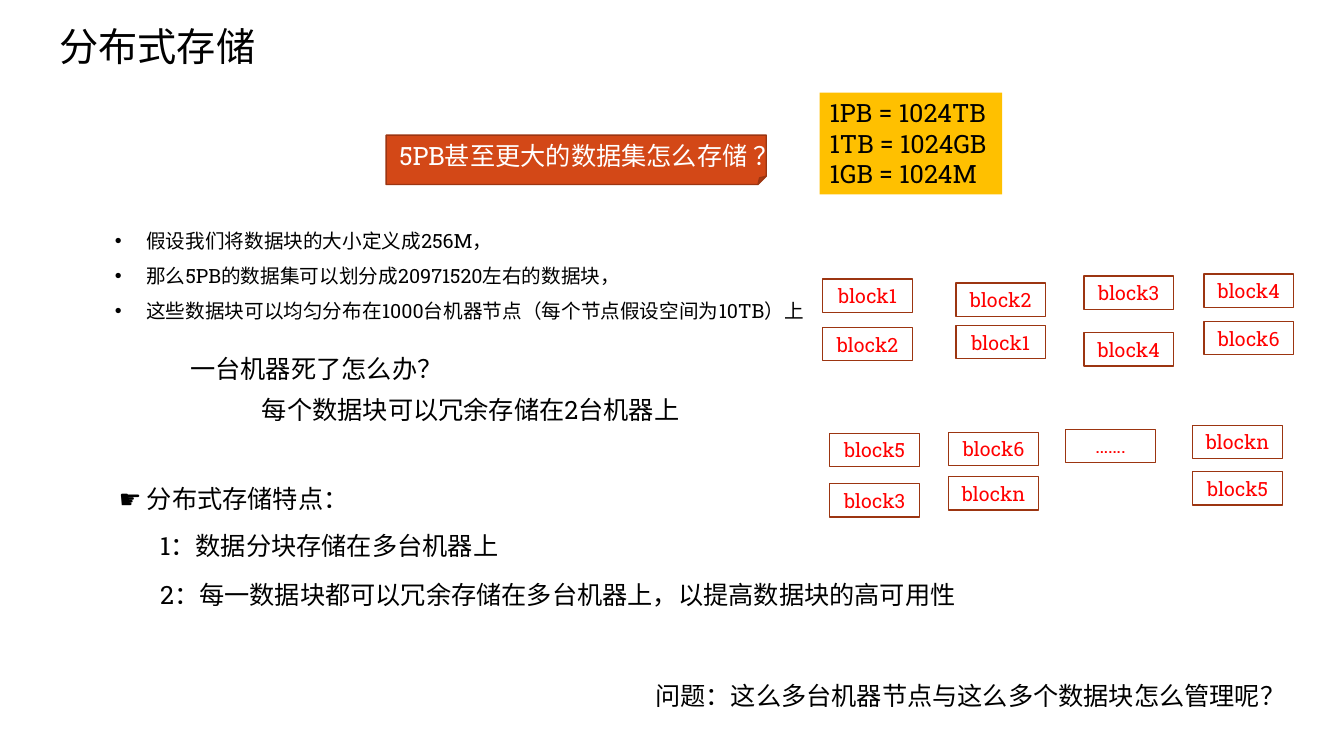
from pptx import Presentation
from pptx.dml.color import RGBColor
from pptx.enum.shapes import MSO_SHAPE
from pptx.enum.text import MSO_ANCHOR, MSO_AUTO_SIZE, PP_ALIGN
from pptx.util import Inches, Pt

RECTANGLE, FOLDED = MSO_SHAPE.RECTANGLE, MSO_SHAPE.FOLDED_CORNER
TOP, MIDDLE = MSO_ANCHOR.TOP, MSO_ANCHOR.MIDDLE
LEFT, CENTER = PP_ALIGN.LEFT, PP_ALIGN.CENTER
NO_AUTOFIT = MSO_AUTO_SIZE.NONE

FONT = "Roboto Slab"
COLORS = {
    "text": "000000",
    "white": "FFFFFF",
    "banner": "D34817",
    "outline": "9C3511",
    "units": "FFC000",
    "block": "FF0000",
}

# Every box is (left, top, width, height) in cells of a square grid.
CELL = Inches(0.1)
LINE_HEIGHT = 4
BLOCK_WIDTH, BLOCK_HEIGHT = 8.9, 3.3

# Each node: column, row of its first block, step to the next block, names.
UPPER_NODES = [
    (0, 0.5, 4.8, ["block1", "block2"]),
    (13.2, 0.9, 4.2, ["block2", "block1"]),
    (25.9, 0.2, 5.6, ["block3", "block4"]),
    (37.8, 0, 4.7, ["block4", "block6"]),
]
LOWER_NODES = [
    (0, 0.8, 5, ["block5", "block3"]),
    (11.8, 0.7, 4.4, ["block6", "blockn"]),
    (23.4, 0.4, 0, ["……."]),
    (36, 0, 4.6, ["blockn", "block5"]),
]


def on_grid(box):
    return [round(value * CELL) for value in box]


def color(name):
    return RGBColor.from_string(COLORS[name])


def write_text(shape, lines, size=18, ink="text", align=LEFT, anchor=TOP,
               spacing=1.0):
    """Fill a shape with one paragraph per line and return the paragraphs."""
    frame = shape.text_frame
    frame.word_wrap = True
    frame.auto_size = NO_AUTOFIT
    frame.vertical_anchor = anchor
    frame.text = "\n".join(lines)
    for para in frame.paragraphs:
        para.alignment = align
        para.line_spacing = spacing
        para.space_before = para.space_after = Pt(0)
        for span in para.runs:
            span.font.name = FONT
            span.font.size = Pt(size)
            span.font.color.rgb = color(ink)
    return frame.paragraphs


def add_label(slide, box, text):
    write_text(slide.shapes.add_textbox(*on_grid(box)), [text])


def add_panel(slide, box, lines, kind=RECTANGLE, fill=None, outline=None,
              **text_format):
    panel = slide.shapes.add_shape(kind, *on_grid(box))
    panel.shadow.inherit = False
    if fill:
        panel.fill.solid()
        panel.fill.fore_color.rgb = color(fill)
    else:
        panel.fill.background()
    if outline:
        panel.line.color.rgb = color(outline)
        panel.line.width = Pt(1)
    else:
        panel.line.fill.background()
    write_text(panel, lines, **text_format)


def place(shape, box):
    shape.left, shape.top, shape.width, shape.height = on_grid(box)


def add_title(slide, box):
    title = slide.shapes.title
    place(title, box)
    write_text(title, ["分布式存储"], size=28)


def add_assumptions(slide, box):
    body = slide.placeholders[1]
    place(body, box)
    paragraphs = write_text(body, [
        "假设我们将数据块的大小定义成256M，",
        "那么5PB的数据集可以划分成20971520左右的数据块，",
        "这些数据块可以均匀分布在1000台机器节点（每个节点假设空间为10TB）上",
    ], size=14, spacing=1.5)
    indent = Inches(0.31)
    for para in paragraphs:
        properties = para._p.get_or_add_pPr()
        properties.set("marL", str(indent))
        properties.set("indent", str(-indent))


def add_opening(slide, box):
    """Place the opening question and, to its right, the table of units."""
    left, top, width, height = box
    add_panel(slide, (left, top + 4.2, 37.7, 4.9),
              ["5PB甚至更大的数据集怎么存储 ？"], kind=FOLDED, fill="banner",
              outline="outline", ink="white", align=CENTER, anchor=MIDDLE)
    units_width = 18.1
    add_panel(slide, (left + width - units_width, top, units_width, height),
              ["1PB = 1024TB", "1TB = 1024GB", "1GB = 1024M"], fill="units")


def add_failure_question(slide, box):
    left, top, width, _ = box
    indent = 7.1
    add_label(slide, (left, top, 27.3, LINE_HEIGHT), "一台机器死了怎么办？")
    add_label(slide, (left + indent, top + LINE_HEIGHT, width - indent, LINE_HEIGHT),
              "每个数据块可以冗余存储在2台机器上")


def add_features(slide, box):
    left, top, width, _ = box
    indent, first_row, row_step = 4.1, 4.6, 4.9
    add_label(slide, (left, top, 25.4, LINE_HEIGHT), "☛ 分布式存储特点：")
    features = [
        "1：数据分块存储在多台机器上",
        "2：每一数据块都可以冗余存储在多台机器上，以提高数据块的高可用性",
    ]
    for row, feature in enumerate(features):
        add_label(slide, (left + indent, top + first_row + row * row_step,
                          width - indent, LINE_HEIGHT), feature)


def add_nodes(slide, origin, nodes):
    left, top = origin
    for column, first_row, step, names in nodes:
        for index, name in enumerate(names):
            box = (left + column, top + first_row + index * step,
                   BLOCK_WIDTH, BLOCK_HEIGHT)
            add_panel(slide, box, [name], outline="outline", size=14,
                      ink="block", align=CENTER, anchor=MIDDLE)


def build_storage_slide(deck):
    slide = deck.slides.add_slide(deck.slide_layouts[1])
    add_title(slide, (4.9, 1.7, 21.7, 5.7))
    add_assumptions(slide, (10.4, 21, 70.6, 11.6))
    add_nodes(slide, (81.6, 27.2), UPPER_NODES)
    add_nodes(slide, (82.3, 42.2), LOWER_NODES)
    add_opening(slide, (38.3, 9.2, 61.1, 10.1))
    add_failure_question(slide, (17.9, 34.6, 50.9, 8))
    add_features(slide, (10.8, 47.5, 88.5, 13.5))
    add_label(slide, (64, 67, 65.1, LINE_HEIGHT),
              "问题：这么多台机器节点与这么多个数据块怎么管理呢？")


def main():
    deck = Presentation()
    deck.slide_width, deck.slide_height = Inches(13.33), Inches(7.5)
    build_storage_slide(deck)
    deck.save("out.pptx")


if __name__ == "__main__":
    main()
